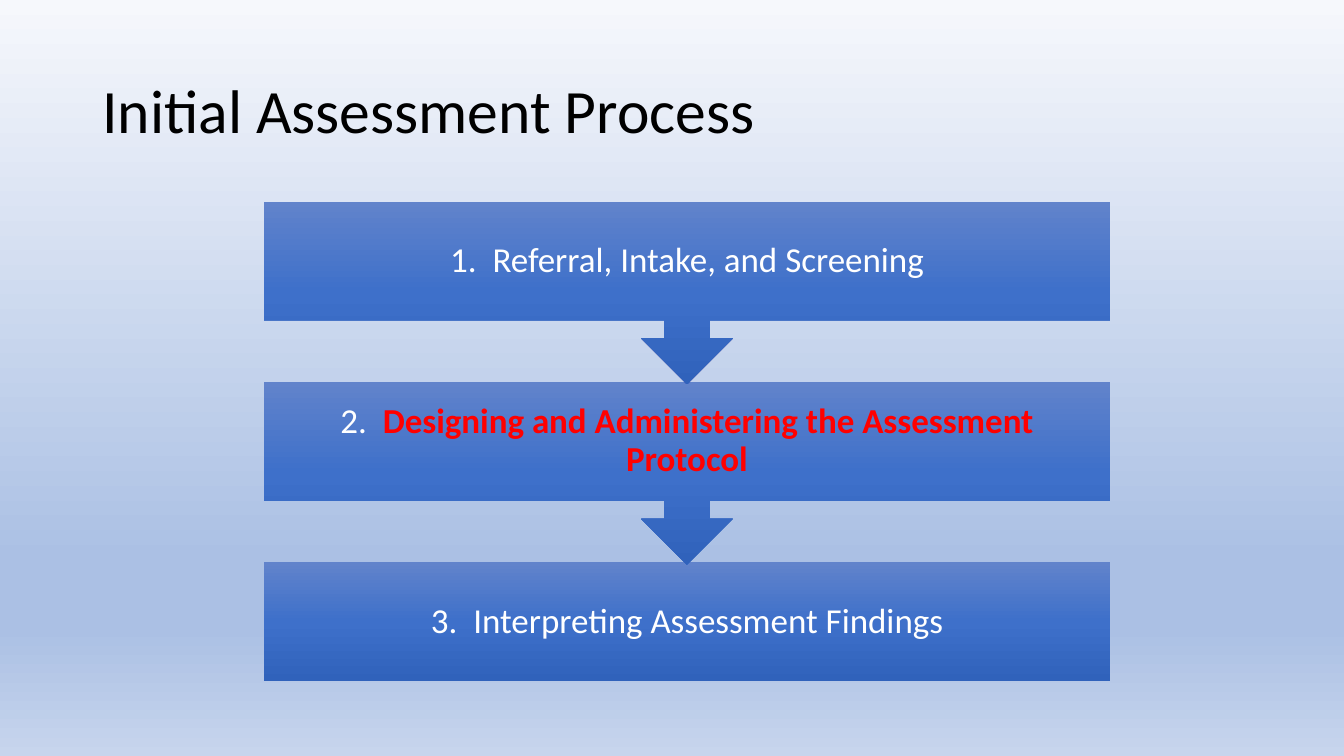
from lxml import etree
from pptx import Presentation
from pptx.dml.color import RGBColor
from pptx.enum.shapes import MSO_SHAPE as SHAPE
from pptx.enum.text import MSO_ANCHOR as ANCHOR, PP_ALIGN as ALIGN
from pptx.oxml.ns import qn
from pptx.util import Pt

COLORS = {"title": "000000", "step": "FFFFFF", "highlight": "FF0000"}
BACKGROUND_STOPS = [(0, "F6F8FC"), (74, "ABC0E4"), (83, "ABC0E4"), (100, "C7D5ED")]
STEP_STOPS = [(0, "6183CB"), (50, "3E70CA"), (100, "3062BB")]


def set_gradient(fill, element, stops):
    """Fill from top to bottom with (percent, colour) stops."""
    fill.gradient()
    fill.gradient_angle = 270
    stop_list = element.xpath(".//a:gsLst")[0]
    for old_stop in list(stop_list):
        stop_list.remove(old_stop)
    for percent, color in stops:
        stop = etree.SubElement(stop_list, qn("a:gs"), pos=str(percent * 1000))
        etree.SubElement(stop, qn("a:srgbClr"), val=color)


def add_run(paragraph, text, size, color, bold=False):
    run = paragraph.add_run()
    run.text = text
    run.font.name = "Calibri"
    run.font.size = Pt(size)
    run.font.bold = bold
    run.font.color.rgb = RGBColor.from_string(COLORS[color])


presentation = Presentation()
presentation.slide_width, presentation.slide_height = Pt(960), Pt(540)
slide = presentation.slides.add_slide(presentation.slide_layouts[5])

# Background
set_gradient(slide.background.fill, slide.element, BACKGROUND_STOPS)

# Title
title = slide.shapes.title
title.left, title.top, title.width, title.height = Pt(66), Pt(28.75), Pt(828), Pt(104.4)
title.text_frame.vertical_anchor = ANCHOR.MIDDLE
paragraph = title.text_frame.paragraphs[0]
paragraph.alignment = ALIGN.LEFT
paragraph.line_spacing = 0.9
add_run(paragraph, "Initial Assessment Process", 44, "title")

# Steps: each box but the last ends in an arrow that reaches the next one
STEP_LEFT, STEP_TOP, STEP_WIDTH, STEP_PITCH = 188.6, 144, 604.2, 128.85
CALLOUT, BOX = (SHAPE.DOWN_ARROW_CALLOUT, 130.4), (SHAPE.RECTANGLE, 84.8)
steps = [
    (CALLOUT, "Referral, Intake, and Screening", False),
    (CALLOUT, "Designing and Administering the Assessment Protocol", True),
    (BOX, "Interpreting Assessment Findings", False),
]
for index, ((kind, height), text, highlighted) in reversed(list(enumerate(steps))):
    shape = slide.shapes.add_shape(
        kind, Pt(STEP_LEFT), Pt(STEP_TOP + index * STEP_PITCH), Pt(STEP_WIDTH), Pt(height))
    shape.shadow.inherit = False
    shape.line.fill.background()
    set_gradient(shape.fill, shape.element, STEP_STOPS)

    frame = shape.text_frame
    frame.word_wrap = True
    frame.vertical_anchor = ANCHOR.MIDDLE
    frame.margin_left = frame.margin_right = Pt(13.7)
    frame.margin_top = frame.margin_bottom = Pt(13.7)
    paragraph = frame.paragraphs[0]
    paragraph.alignment = ALIGN.CENTER
    paragraph.line_spacing = 0.9
    add_run(paragraph, f"{index + 1}.  ", 25, "step")
    add_run(paragraph, text, 25, "highlight" if highlighted else "step", highlighted)

presentation.save("out.pptx")
